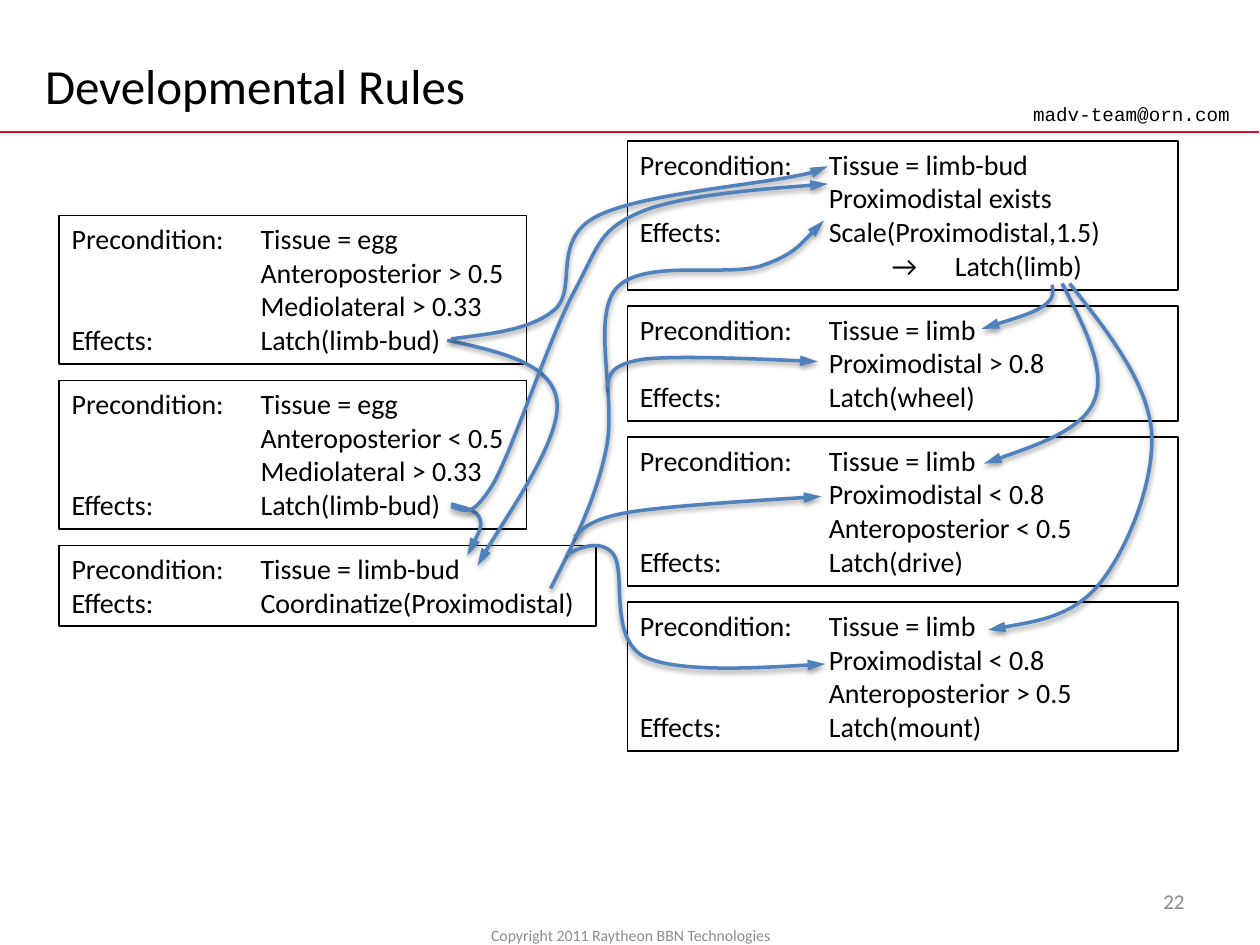
import lxml.etree
import pptx
import pptx.dml.color
import pptx.enum.shapes
import pptx.enum.text
import pptx.oxml
import pptx.oxml.ns
import pptx.util

PX = 9144  # EMU per px, 100 px to the inch
COLOURS = {"text": "000000", "rule": "CE1126", "arrow": "4F81BD",
           "number": "898989", "footer": "8C8C8C"}
ALIGN = pptx.enum.text.PP_ALIGN
ANCHOR = pptx.enum.text.MSO_ANCHOR
SHAPE = pptx.enum.shapes.MSO_SHAPE
qn = pptx.oxml.ns.qn


def rgb(name):
    return pptx.dml.color.RGBColor.from_string(COLOURS[name])


def add_text(place, text, size, colour="text", font="Calibri", align=ALIGN.LEFT,
             anchor=ANCHOR.TOP, wrap=True, fit=False, border=None):
    """Add text, one paragraph a line, in a box at left, top, width, height."""
    left, top, width, height = [value * PX for value in place]
    if border:
        box = page.shapes.add_shape(SHAPE.RECTANGLE, left, top, width, height)
        box.shadow.inherit = False
        box.fill.background()
        box.line.color.rgb = rgb(border)
        box.line.width = pptx.util.Pt(1)
    else:
        box = page.shapes.add_textbox(left, top, width, height)
    frame = box.text_frame
    frame.word_wrap = wrap
    frame.vertical_anchor = anchor
    if fit:
        frame.auto_size = pptx.enum.text.MSO_AUTO_SIZE.SHAPE_TO_FIT_TEXT
    for index, line in enumerate(text.split("\n")):
        para = frame.add_paragraph() if index else frame.paragraphs[0]
        para.alignment = align
        span = para.add_run()
        span.text = line
        span.font.size = pptx.util.Pt(size)
        span.font.name = font
        span.font.color.rgb = rgb(colour)


deck = pptx.Presentation()
deck.slide_width = 1000 * PX
deck.slide_height = 750 * PX
page = deck.slides.add_slide(deck.slide_layouts[6])

# Header
rule = page.shapes.add_connector(pptx.enum.shapes.MSO_CONNECTOR.STRAIGHT,
                                 0, 105 * PX, 999 * PX, 105 * PX)
rule.line.color.rgb = rgb("rule")
rule.line.width = pptx.util.Pt(1)
lxml.etree.SubElement(rule._element.spPr, qn("a:effectLst"))
add_text((810, 76, 178, 29), "madv-team@orn.com", 11, font="Courier New",
         wrap=False, fit=True)
add_text((26, 30, 900, 75), "Developmental Rules", 28, anchor=ANCHOR.MIDDLE)

# Rule boxes, stacked in two columns: left, top, then width, conditions, effects
COLUMNS = [
    (47, 171, [
        (371, ["Tissue = egg", "Anteroposterior > 0.5", "Mediolateral > 0.33"],
         ["Latch(limb-bud)"]),
        (371, ["Tissue = egg", "Anteroposterior < 0.5", "Mediolateral > 0.33"],
         ["Latch(limb-bud)"]),
        (426, ["Tissue = limb-bud"], ["Coordinatize(Proximodistal)"]),
    ]),
    (498, 112, [
        (437, ["Tissue = limb-bud", "Proximodistal exists"],
         ["Scale(Proximodistal,1.5)", "\t→\tLatch(limb)"]),
        (437, ["Tissue = limb", "Proximodistal > 0.8"], ["Latch(wheel)"]),
        (437, ["Tissue = limb", "Proximodistal < 0.8", "Anteroposterior < 0.5"],
         ["Latch(drive)"]),
        (437, ["Tissue = limb", "Proximodistal < 0.8", "Anteroposterior > 0.5"],
         ["Latch(mount)"]),
    ]),
]
BOX_GAP, LINE_HEIGHT, BOX_PADDING = 13, 27, 10
for left, top, rules in COLUMNS:
    for width, conditions, effects in rules:
        text = ("Precondition:\t" + "\n\t\t\t".join(conditions)
                + "\nEffects:\t\t" + "\n\t\t\t".join(effects))
        height = BOX_PADDING + LINE_HEIGHT * (len(conditions) + len(effects))
        add_text((left, top, width, height), text, 16, fit=True, border="text")
        top += height + BOX_GAP

# Curved arrows: a start point, then two control points and an end per curve
ARROWS = [
    [(355, 270), (396, 279), (438, 288), (442, 318),
     (446, 348), (390, 427), (379, 449)],
    [(358, 400), (369, 403), (379, 405), (381, 412),
     (383, 419), (371, 441), (371, 441)],
    [(437, 467), (455, 432), (473, 396), (481, 357),
     (490, 317), (469, 253), (489, 229),
     (510, 205), (576, 220), (604, 211),
     (631, 202), (654, 175), (654, 175)],
    [(835, 226), (836, 231), (837, 237), (828, 243),
     (819, 249), (779, 261), (779, 261)],
    [(843, 225), (861, 260), (879, 295), (868, 319),
     (858, 343), (781, 368), (781, 368)],
    [(482, 308), (483, 298), (484, 289), (512, 285),
     (540, 282), (649, 287), (649, 287)],
    [(456, 426), (463, 419), (470, 411), (503, 406),
     (536, 401), (652, 394), (652, 394)],
    [(450, 440), (459, 435), (477, 427), (487, 440),
     (497, 454), (483, 506), (511, 521),
     (539, 535), (655, 527), (655, 527)],
    [(849, 225), (879, 263), (910, 302), (914, 342),
     (917, 382), (894, 438), (872, 464),
     (850, 491), (784, 500), (784, 500)],
    [(358, 269), (389, 265), (421, 262), (440, 246),
     (459, 230), (437, 191), (473, 172),
     (509, 153), (642, 144), (657, 132)],
    [(358, 402), (370, 406), (375, 411), (392, 383),
     (408, 354), (437, 265), (457, 229),
     (476, 193), (476, 182), (509, 168),
     (543, 154), (657, 146), (657, 146)],
]
SHADOW = f"""<a:effectLst {pptx.oxml.ns.nsdecls("a")}>
  <a:outerShdw blurRad="40000" dist="20000" dir="5400000" rotWithShape="0">
    <a:srgbClr val="000000"><a:alpha val="38000"/></a:srgbClr>
  </a:outerShdw>
</a:effectLst>"""
for start, *points in ARROWS:
    builder = page.shapes.build_freeform(*start, scale=PX)
    builder.add_line_segments(points, close=False)
    arrow = builder.convert_to_shape()
    arrow.fill.background()
    arrow.line.color.rgb = rgb("arrow")
    arrow.line.width = pptx.util.Pt(2)
    lxml.etree.SubElement(arrow.line._get_or_add_ln(), qn("a:tailEnd"),
                          type="triangle", len="lg")
    properties = arrow._element.spPr
    properties.append(pptx.oxml.parse_xml(SHADOW))
    # Turn each three straight segments into one Bézier curve
    path = properties.find(".//" + qn("a:path"))
    segments = path.findall(qn("a:lnTo"))
    for first in range(0, len(segments), 3):
        curve = lxml.etree.SubElement(path, qn("a:cubicBezTo"))
        for segment in segments[first:first + 3]:
            curve.append(segment[0])
            path.remove(segment)

# Footer
add_text((717, 695, 233, 40), "22", 12, "number", align=ALIGN.RIGHT,
         anchor=ANCHOR.MIDDLE)
add_text((342, 735, 317, 15), "Copyright 2011 Raytheon BBN Technologies", 9,
         "footer", align=ALIGN.CENTER, anchor=ANCHOR.MIDDLE)

deck.save("out.pptx")
